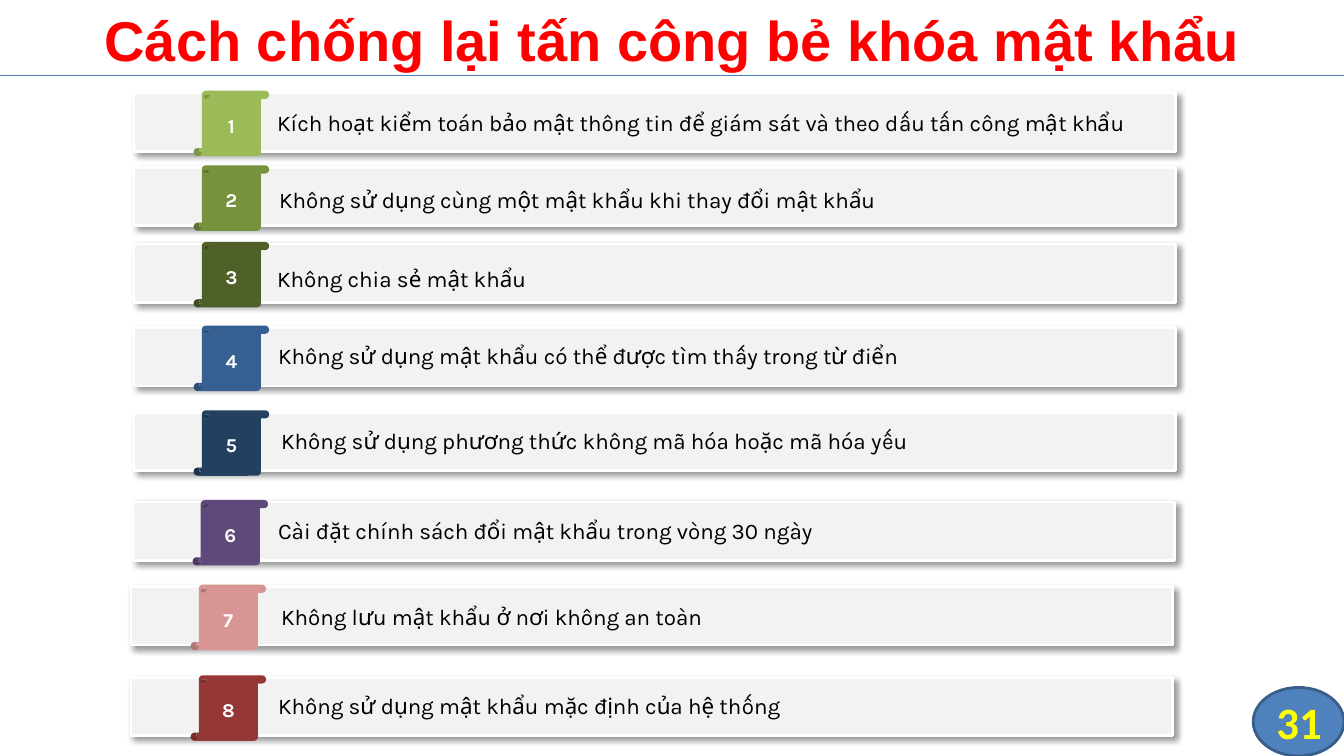
import lxml.etree
import pptx
import pptx.dml.color
import pptx.enum.shapes
import pptx.enum.text
import pptx.oxml.ns
import pptx.util

PIXEL = 9144
SHAPES = pptx.enum.shapes.MSO_SHAPE
ALIGN = pptx.enum.text.PP_ALIGN
ANCHOR = pptx.enum.text.MSO_ANCHOR
AUTO_SIZE = pptx.enum.text.MSO_AUTO_SIZE

COLORS = {
    "title": "FF0000",
    "rule": "4A7DBA",
    "card": "F2F2F2",
    "white": "FFFFFF",
    "black": "000000",
    "badge": "4F81BD",
    "badge_line": "395E89",
    "page_number": "FFFF00",
    "light_green": "9BBB59",
    "green": "76923C",
    "dark_green": "4F6128",
    "blue": "366092",
    "navy": "244061",
    "purple": "5F497A",
    "pink": "D99593",
    "red": "953734",
}

FORMATS = {
    "title": {"name": "Arial", "size": pptx.util.Pt(40), "bold": True},
    "page_number": {"name": "Calibri", "size": pptx.util.Pt(32), "bold": True},
    "number": {"name": "Karla", "size": pptx.util.Pt(14), "bold": True},
    "advice": {"name": "Karla", "size": pptx.util.Pt(16), "bold": False},
}

CARD_SHADOW = {"blurRad": "50800", "dist": "38100", "dir": "2700000",
               "algn": "tl", "rotWithShape": "0"}

ADVICE = [
    (133, 92, 265, 103, "light_green",
     "Kích hoạt kiểm toán bảo mật thông tin để giám sát và theo dấu tấn công mật khẩu"),
    (133, 166, 267, 180, "green", "Không sử dụng cùng một mật khẩu khi thay đổi mật khẩu"),
    (133, 242, 265, 258, "dark_green", "Không chia sẻ mật khẩu"),
    (133, 325, 266, 335, "blue", "Không sử dụng mật khẩu có thể được tìm thấy trong từ điển"),
    (133, 409, 269, 419, "navy", "Không sử dụng phương thức không mã hóa hoặc mã hóa yếu"),
    (132, 498, 266, 508, "purple", "Cài đặt chính sách đổi mật khẩu trong vòng 30 ngày"),
    (130, 582, 269, 593, "pink", "Không lưu mật khẩu ở nơi không an toàn"),
    (130, 672, 266, 682, "red", "Không sử dụng mật khẩu mặc định của hệ thống"),
]


def color(name):
    """Return the named colour."""
    return pptx.dml.color.RGBColor.from_string(COLORS[name])


def scaled(*lengths):
    """Turn px lengths into EMU."""
    return [length * PIXEL for length in lengths]


def write(shape, text, style, color_name, alignment, **frame_format):
    """Write one formatted paragraph into a shape."""
    frame = shape.text_frame
    frame.word_wrap = True
    for name, value in frame_format.items():
        setattr(frame, name, value)
    paragraph = frame.paragraphs[0]
    paragraph.alignment = alignment
    run = paragraph.add_run()
    run.text = text
    for name, value in FORMATS[style].items():
        setattr(run.font, name, value)
    run.font.color.rgb = color(color_name)


def add_label(slide, box, text, style, color_name, alignment, **frame_format):
    """Add a text box with one paragraph."""
    label = slide.shapes.add_textbox(*scaled(*box))
    write(label, text, style, color_name, alignment, **frame_format)


def add_block(slide, kind, box, fill, line=None):
    """Add a filled preset shape with an optional 2 pt outline."""
    shape = slide.shapes.add_shape(kind, *scaled(*box))
    shape.fill.solid()
    shape.fill.fore_color.rgb = color(fill)
    if line:
        shape.line.color.rgb = color(line)
        shape.line.width = pptx.util.Pt(2)
    else:
        shape.line.fill.background()
    shape.shadow.inherit = False
    return shape


def add_rule(slide, top, width):
    """Add the thin line below the title."""
    rule = slide.shapes.add_connector(
        pptx.enum.shapes.MSO_CONNECTOR.STRAIGHT, *scaled(0, top, width, top))
    rule.line.color.rgb = color("rule")
    rule.line.width = pptx.util.Pt(0.75)
    lxml.etree.SubElement(rule._element.spPr, pptx.oxml.ns.qn("a:effectLst"))


def add_shadow(shape):
    """Give a card its soft shadow."""
    qn = pptx.oxml.ns.qn
    effects = shape._element.spPr.find(qn("a:effectLst"))
    shadow = lxml.etree.SubElement(effects, qn("a:outerShdw"), CARD_SHADOW)
    shade = lxml.etree.SubElement(shadow, qn("a:srgbClr"), val=COLORS["black"])
    lxml.etree.SubElement(shade, qn("a:alpha"), val="40000")


def add_advice(slide, number, left, top, text_left, text_top, fill, text):
    """Add a card with its numbered scroll."""
    card = add_block(slide, SHAPES.RECTANGLE, (left, top, 1033, 58), "card", "white")
    add_shadow(card)
    scroll = add_block(slide, SHAPES.VERTICAL_SCROLL, (left + 59, top - 2, 75, 65), fill)
    write(scroll, str(number), "number", "white", ALIGN.CENTER,
          vertical_anchor=ANCHOR.MIDDLE)
    add_label(slide, (text_left, text_top, 944, 37), text, "advice", "black",
              ALIGN.LEFT, auto_size=AUTO_SIZE.SHAPE_TO_FIT_TEXT)


def main():
    """Build and save the slide."""
    presentation = pptx.Presentation()
    presentation.slide_width, presentation.slide_height = scaled(1333, 750)
    slide = presentation.slides.add_slide(presentation.slide_layouts[6])
    add_block(slide, SHAPES.FLOWCHART_CONNECTOR, (1243, 682, 90, 68),
              "badge", "badge_line")
    add_rule(slide, 75, 1333)
    add_label(slide, (0, 0, 1333, 78), "Cách chống lại tấn công bẻ khóa mật khẩu",
              "title", "title", ALIGN.CENTER, vertical_anchor=ANCHOR.MIDDLE)
    add_label(slide, (1244, 682, 89, 68), "31", "page_number", "page_number",
              ALIGN.CENTER, vertical_anchor=ANCHOR.MIDDLE, margin_left=0,
              margin_right=0, margin_top=0, margin_bottom=0)
    for number, advice in enumerate(ADVICE, 1):
        add_advice(slide, number, *advice)
    presentation.save("out.pptx")


if __name__ == "__main__":
    main()
